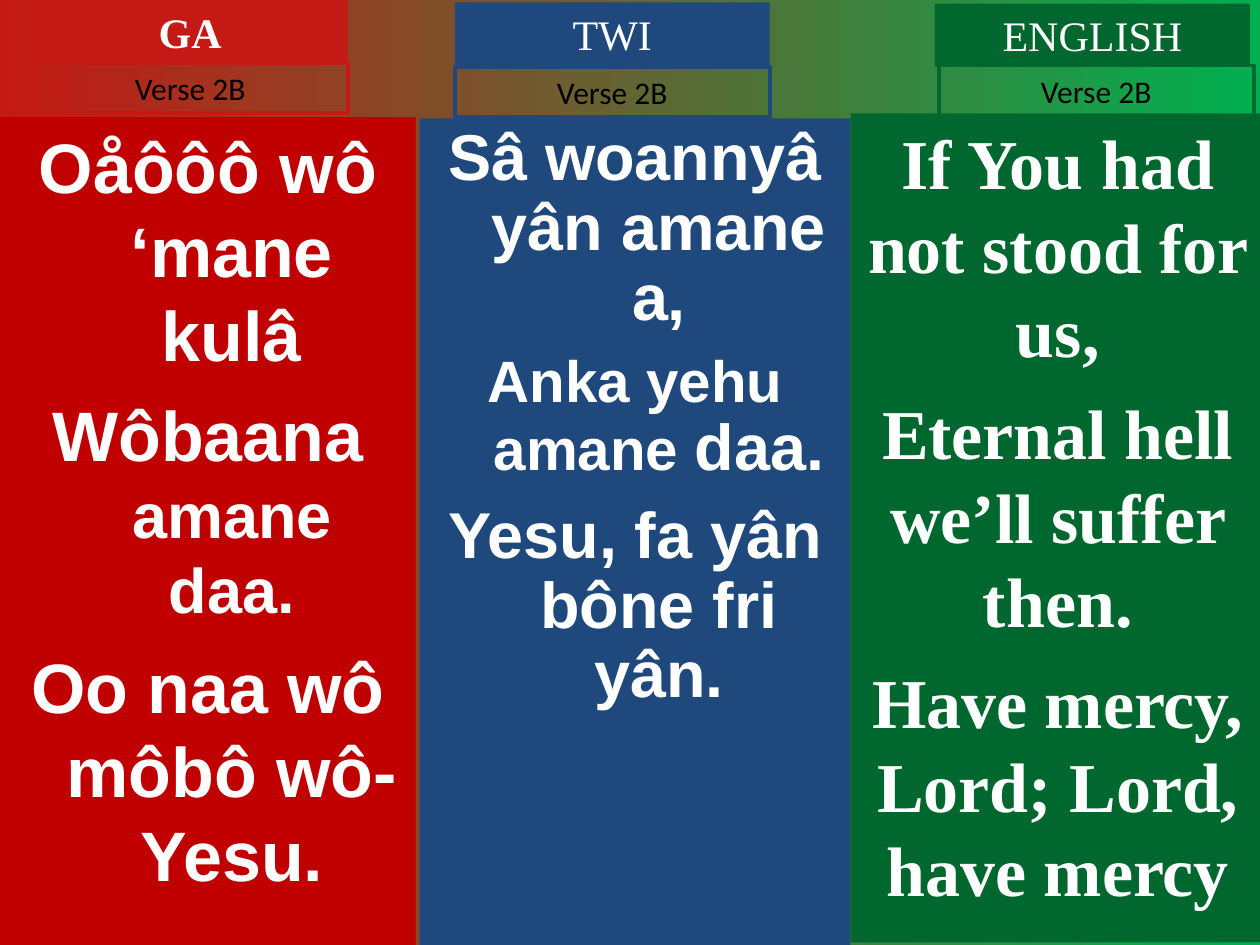
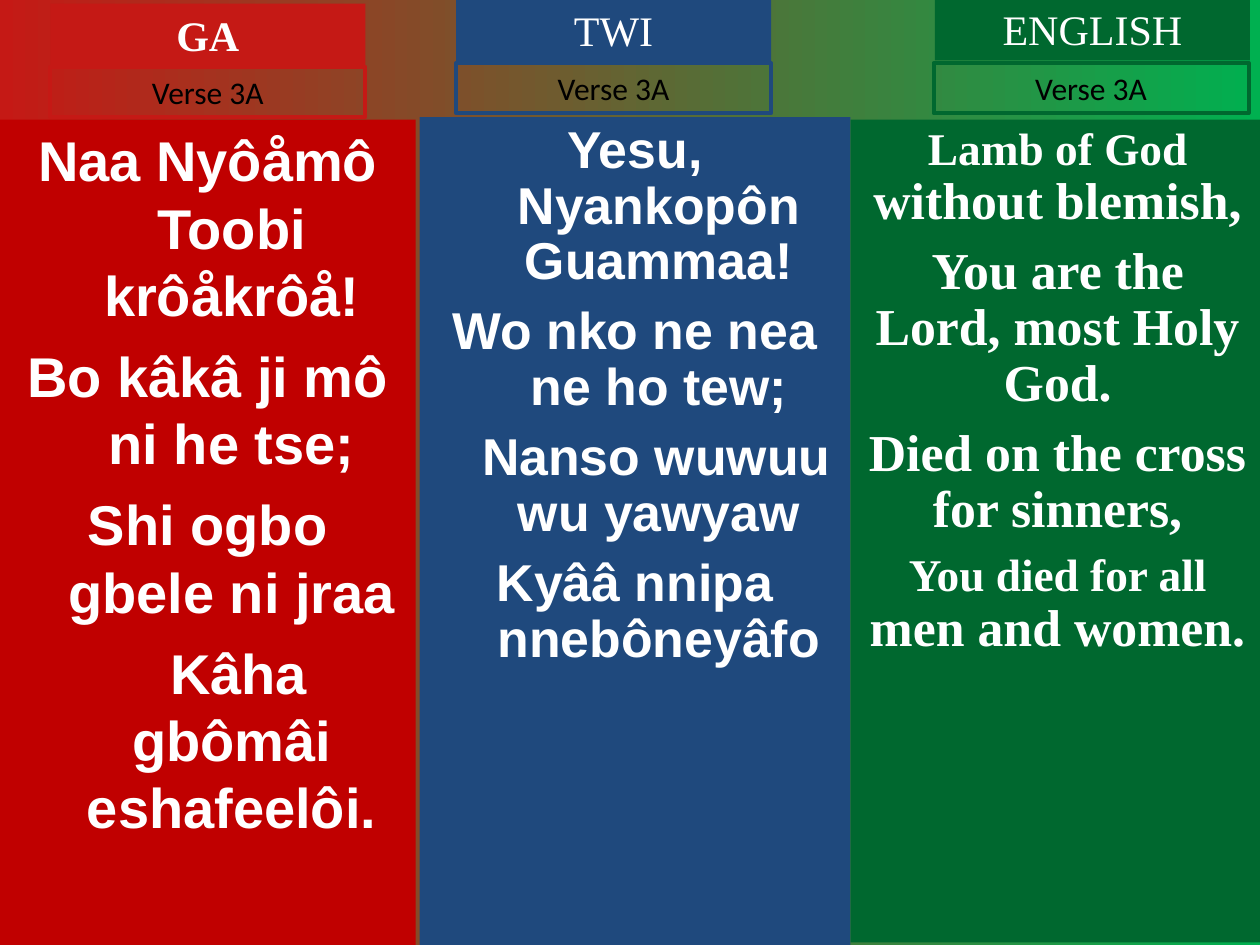
"""Build two trilingual hymn slides with one lyric column per language."""
from dataclasses import dataclass

from pptx import Presentation
from pptx.dml.color import RGBColor
from pptx.enum.shapes import MSO_SHAPE
from pptx.enum.text import MSO_ANCHOR, MSO_AUTO_SIZE, PP_ALIGN
from pptx.util import Inches, Pt

RECT = MSO_SHAPE.RECTANGLE
TOP = MSO_ANCHOR.TOP
GROW = MSO_AUTO_SIZE.SHAPE_TO_FIT_TEXT
CENTER = PP_ALIGN.CENTER

COLORS = {
    "red": "C51915", "deep_red": "C00000", "blue": "1F497D",
    "green": "00682F", "bright_green": "00B050",
    "white": "FFFFFF", "black": "000000",
}
BLANK_LAYOUT = 6
LABEL_WIDTH, HEADER_HEIGHT, VERSE_HEIGHT = 2.5, 0.5, 0.4
HANGING = 0.38


@dataclass
class Language:
    name: str
    left: float
    width: float
    bottom: float
    color: str
    body_color: str
    font: str
    hanging: float = 0
    bold_name: bool = False


@dataclass
class Line:
    runs: list[tuple[str, float]]
    before: float
    first_shift: float = 0


@dataclass
class Lyrics:
    language: Language
    top: float
    header_at: tuple[float, float]
    verse_at: tuple[float, float]
    lines: list[Line]
    line_spacing: float = 1.0


GA = Language("GA", 0, 3.3, 7.5, "red", "deep_red", "Arial", HANGING, True)
TWI = Language("TWI", 3.33, 3.42, 7.5, "blue", "blue", "Arial", HANGING)
ENGLISH = Language("ENGLISH", 6.75, 3.29, 7.48, "green", "green", "Times New Roman")

VERSES = {
    "Verse 2B": [
        Lyrics(GA, 0.93, (0.26, 0), (0.26, 0.5), [
            Line([("Oåôôô wô ‘mane kulâ", 40)], 10),
            Line([("Wôbaana ", 40), ("amane daa.", 36)], 9),
            Line([("Oo naa wô môbô wô-Yesu.", 40)], 10),
        ]),
        Lyrics(TWI, 0.94, (3.61, 0.02), (3.61, 0.53), [
            Line([("Sâ woannyâ yân amane a,", 37)], 10),
            Line([("Anka yehu amane ", 33.3), ("daa.", 37)], 10),
            Line([("Yesu, fa yân bône fri yân.", 37)], 10),
        ], 0.9),
        Lyrics(ENGLISH, 0.9, (7.42, 0.03), (7.45, 0.52), [
            Line([("If You had not stood for us,", 40)], 10),
            Line([("Eternal hell we’ll suffer then.", 40)], 10),
            Line([("Have mercy, Lord; Lord, have mercy", 40)], 10),
        ]),
    ],
    "Verse 3A": [
        Lyrics(GA, 0.95, (0.4, 0.03), (0.4, 0.53), [
            Line([("Naa Nyôåmô Toobi krôåkrôå!", 32)], 8),
            Line([("Bo kâkâ ji mô ni he tse;", 32)], 8),
            Line([("Shi ogbo gbele ni jraa", 32)], 8),
            Line([("Kâha gbômâi eshafeelôi.", 32)], 8, 0.49),
        ]),
        Lyrics(TWI, 0.93, (3.62, -0.01), (3.62, 0.5), [
            Line([("Yesu, Nyankopôn Guammaa!", 29.6)], 8),
            Line([("Wo nko ne nea ne ho tew;", 29.6)], 8),
            Line([("Nanso wuwuu wu yawyaw", 29.6)], 8, 0.34),
            Line([("Kyââ nnipa nnebôneyâfo", 29.6)], 8),
        ], 0.9),
        Lyrics(ENGLISH, 0.95, (7.42, -0.02), (7.41, 0.5), [
            Line([("Lamb of God ", 25.9), ("without blemish,", 29.6)], 8),
            Line([("You are the Lord, most Holy God.", 29.6)], 8),
            Line([("Died on the cross for sinners,", 29.6)], 8),
            Line([("You died for all ", 25.9), ("men and women.", 29.6)], 8),
        ], 0.9),
    ],
}


def rgb(name: str) -> RGBColor:
    """Look up a named colour."""
    return RGBColor.from_string(COLORS[name])


def add_box(s, left: float, top: float, width: float, height: float,
            fill: str = "", line: str = ""):
    """Add a rectangle and return it ready for top-anchored text."""
    sp = s.shapes.add_shape(RECT, Inches(left), Inches(top), Inches(width), Inches(height))
    sp.shadow.inherit = False
    if fill:
        sp.fill.solid()
        sp.fill.fore_color.rgb = rgb(fill)
    else:
        sp.fill.background()
    if line:
        sp.line.color.rgb = rgb(line)
        sp.line.width = Pt(2.25)
    else:
        sp.line.fill.background()
    sp.text_frame.word_wrap = True
    sp.text_frame.vertical_anchor = TOP
    return sp


def add_run(p, text: str, size: float, font: str, color: str, bold: bool) -> None:
    """Append one formatted run to a paragraph."""
    r = p.add_run()
    r.text = text
    r.font.size = Pt(size)
    r.font.name = font
    r.font.bold = bold
    r.font.color.rgb = rgb(color)


def add_label(sp, text: str, size: float, font: str, color: str, bold: bool = False) -> None:
    """Write a single centred line in a box that grows with its text."""
    sp.text_frame.auto_size = GROW
    p = sp.text_frame.paragraphs[0]
    p.alignment = CENTER
    add_run(p, text, size, font, color, bold)


def add_lines(tf, lyrics: Lyrics) -> None:
    """Write the lyric paragraphs of one column."""
    language = lyrics.language
    for i, line in enumerate(lyrics.lines):
        p = tf.add_paragraph() if i else tf.paragraphs[0]
        p.alignment = CENTER
        p.line_spacing = lyrics.line_spacing
        p.space_before = Pt(line.before if i else 0)
        pPr = p._p.get_or_add_pPr()
        pPr.set("marL", str(Inches(language.hanging)))
        pPr.set("indent", str(Inches(line.first_shift - language.hanging)))
        for text, size in line.runs:
            add_run(p, text, size, language.font, "white", True)


def add_column(s, lyrics: Lyrics, verse: str) -> None:
    """Draw one language column with its header and verse label."""
    language = lyrics.language
    body = add_box(s, language.left, lyrics.top, language.width,
                   language.bottom - lyrics.top, fill=language.body_color)
    add_lines(body.text_frame, lyrics)
    header = add_box(s, *lyrics.header_at, LABEL_WIDTH, HEADER_HEIGHT, fill=language.color)
    add_label(header, language.name, 24, "Times New Roman", "white", language.bold_name)
    label = add_box(s, *lyrics.verse_at, LABEL_WIDTH, VERSE_HEIGHT, line=language.color)
    add_label(label, verse, 18, "Calibri", "black")


def set_background(s) -> None:
    """Fill the slide with a left-to-right gradient."""
    fill = s.background.fill
    fill.gradient()
    fill.gradient_angle = 0
    for stop, name in zip(fill.gradient_stops, ("red", "bright_green")):
        stop.color.rgb = rgb(name)


def main() -> None:
    """Build and save the presentation."""
    prs = Presentation()
    prs.slide_width, prs.slide_height = Inches(10), Inches(7.5)
    for verse, columns in VERSES.items():
        s = prs.slides.add_slide(prs.slide_layouts[BLANK_LAYOUT])
        set_background(s)
        for lyrics in columns:
            add_column(s, lyrics, verse)
    prs.save("out.pptx")


if __name__ == "__main__":
    main()
